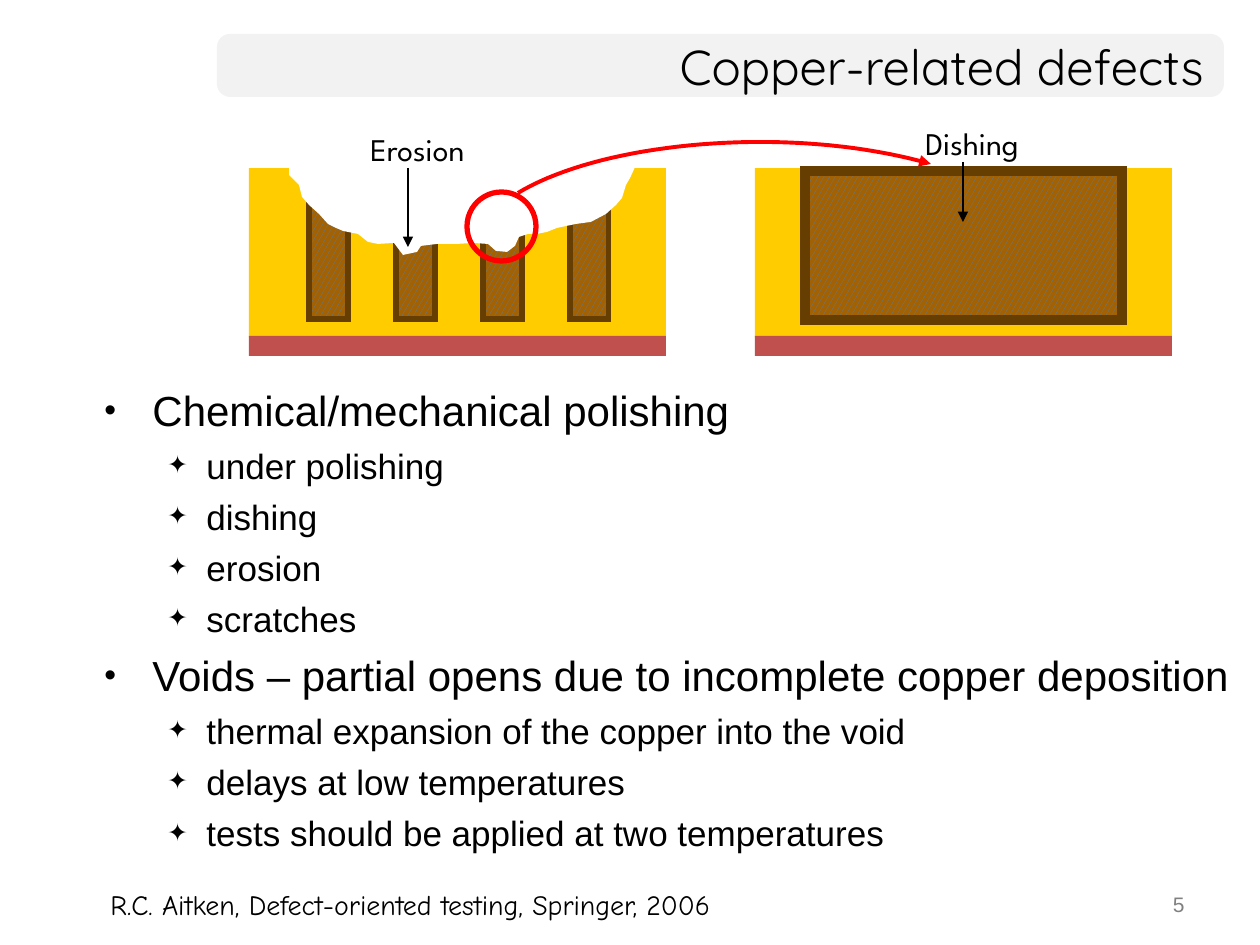
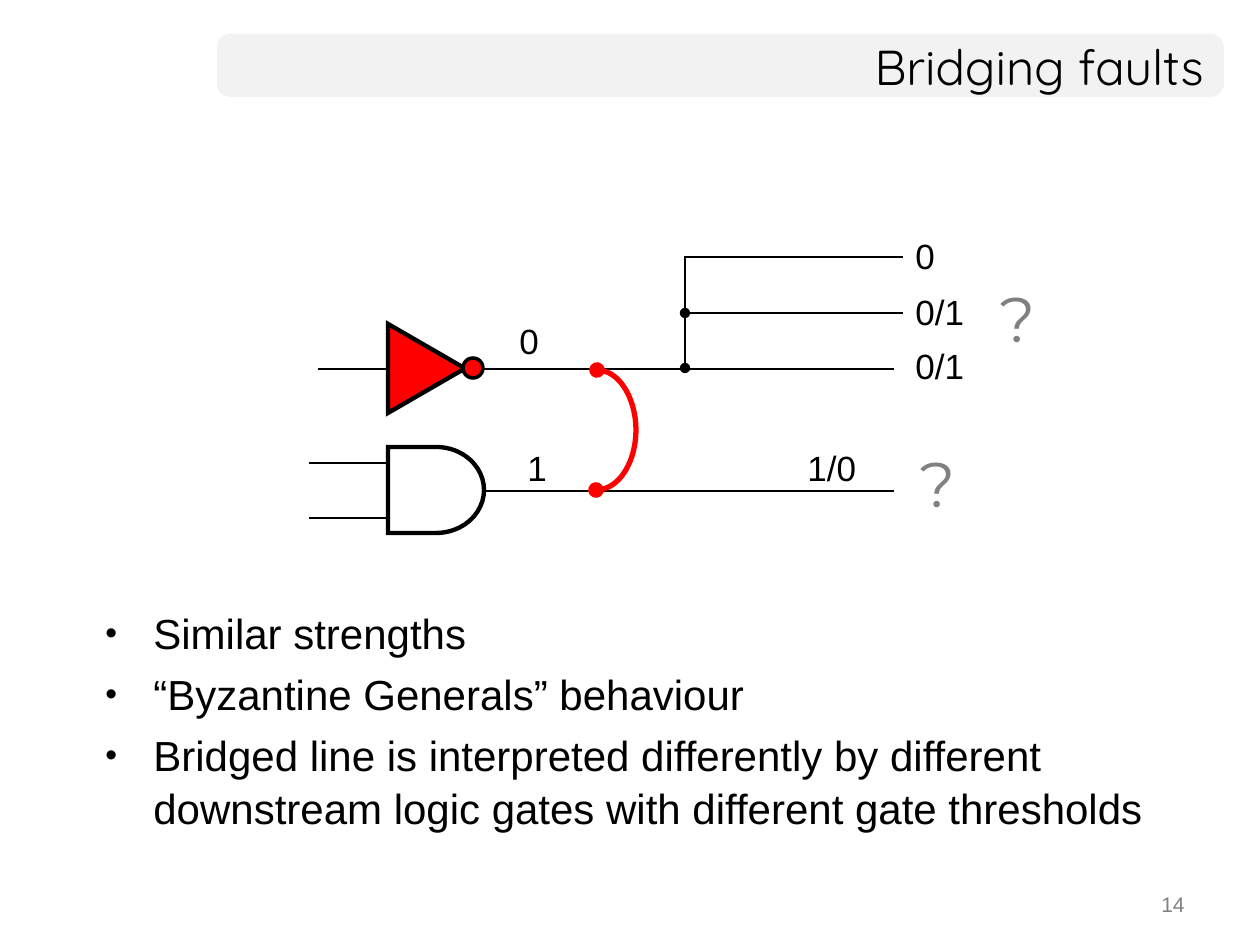
import lxml.etree
import pptx
import pptx.dml.color
import pptx.enum.dml
import pptx.enum.shapes
import pptx.enum.text
import pptx.oxml.ns
import pptx.util

PX = 914400 / 126  # EMU in one px
RGB = pptx.dml.color.RGBColor
SHAPE = pptx.enum.shapes.MSO_SHAPE
ALIGN = pptx.enum.text.PP_ALIGN
ANCHOR = pptx.enum.text.MSO_ANCHOR

BLACK = RGB(0x00, 0x00, 0x00)
WHITE = RGB(0xFF, 0xFF, 0xFF)
GREY = RGB(0x80, 0x80, 0x80)
BAND = RGB(0xF2, 0xF2, 0xF2)
RED = RGB(0xFF, 0x00, 0x00)
OXIDE = RGB(0xFF, 0xCC, 0x00)
SUBSTRATE = RGB(0xC0, 0x50, 0x4D)
COPPER = RGB(0xA2, 0x61, 0x02)
LINER = RGB(0x67, 0x3E, 0x01)
SPECKLE = RGB(0x4F, 0x81, 0xBD)

# Per list level: bullet, bullet size %, left indent, hanging, text size, space before
LEVELS = [("•", 80, 48, 48, 24, 4.5), ("✦", 70, 102, 39, 20, 4)]

EROSION_OUTLINE = [
    (636, 165), (630, 178), (626, 185), (622, 198), (616, 205), (606, 214),
    (591, 222), (576, 224), (557, 228), (547, 232), (537, 234), (528, 234),
    (519, 237), (515, 246), (507, 252), (496, 251), (488, 244), (473, 243),
    (457, 244), (437, 244), (421, 246), (417, 252), (403, 255), (394, 243),
    (378, 244), (368, 242), (358, 234), (343, 231), (336, 228), (328, 224),
    (319, 214), (309, 205), (302, 197), (299, 185), (289, 175), (289, 165)]


def emu(px):
    return pptx.util.Emu(round(px * PX))


def sub(parent, tag, **attributes):
    name = pptx.oxml.ns.qn("a:" + tag)
    return lxml.etree.SubElement(parent, name, **attributes)


# Shapes and lines
def stroke(s, color, weight, head=None, tail=None):
    s.line.color.rgb = color
    s.line.width = pptx.util.Pt(weight)
    ln = s.line._get_or_add_ln()
    sub(ln, "miter", lim="800000")
    if head:
        sub(ln, "headEnd", type=head)
    if tail:
        sub(ln, "tailEnd", type=tail)


def paint(s, fill=None, line=None, weight=1, head=None, tail=None):
    s.shadow.inherit = False
    if fill is None:
        s.fill.background()
    else:
        s.fill.solid()
        s.fill.fore_color.rgb = fill
    if line is None:
        s.line.fill.background()
    else:
        stroke(s, line, weight, head, tail)


def add_box(slide, kind, x, y, w, h, **look):
    s = slide.shapes.add_shape(kind, emu(x), emu(y), emu(w), emu(h))
    paint(s, **look)
    return s


def add_line(slide, x1, y1, x2, y2, weight=1.5, head=None, tail=None):
    s = slide.shapes.add_connector(
        pptx.enum.shapes.MSO_CONNECTOR.STRAIGHT,
        emu(x1), emu(y1), emu(x2), emu(y2))
    stroke(s, BLACK, weight, head, tail)
    sub(s._element.spPr, "effectLst")


def add_outline(slide, points, close=False, **look):
    points = [(emu(x), emu(y)) for x, y in points]
    builder = slide.shapes.build_freeform(*points[0])
    builder.add_line_segments(points[1:], close=close)
    paint(builder.convert_to_shape(), **look)


def curve(p0, p1, p2, p3, steps=24):
    """Points along a cubic Bezier curve."""
    points = []
    for i in range(steps + 1):
        t = i / steps
        u = 1 - t
        points.append(tuple(
            u**3 * a + 3 * u * u * t * b + 3 * u * t * t * c + t**3 * d
            for a, b, c, d in zip(p0, p1, p2, p3)))
    return points


# Text
def set_font(p, name, size, color):
    p.font.name = name
    p.font.size = pptx.util.Pt(size)
    p.font.color.rgb = color


def add_text(slide, text, x, y, w, h, font="Arial", size=20, color=BLACK,
             align=ALIGN.LEFT, anchor=ANCHOR.TOP, wrap=False):
    s = slide.shapes.add_textbox(emu(x), emu(y), emu(w), emu(h))
    tf = s.text_frame
    tf.word_wrap = wrap
    tf.vertical_anchor = anchor
    p = tf.paragraphs[0]
    p.text = text
    p.alignment = align
    set_font(p, font, size, color)


def add_bullets(slide, items, x, y, w, h):
    s = slide.shapes.add_textbox(emu(x), emu(y), emu(w), emu(h))
    tf = s.text_frame
    tf.word_wrap = True
    for i, (level, text) in enumerate(items):
        bullet, percent, left, hanging, size, before = LEVELS[level]
        p = tf.add_paragraph() if i else tf.paragraphs[0]
        p.text = text
        p.level = level
        p.line_spacing = 1.05
        p.space_before = pptx.util.Pt(before if i else 0)
        pPr = p._p.get_or_add_pPr()
        pPr.set("marL", str(emu(left)))
        pPr.set("indent", str(-emu(hanging)))
        sub(pPr, "buSzPct", val=str(percent * 1000))
        sub(pPr, "buFont", typeface="Arial")
        sub(pPr, "buChar", char=bullet)
        set_font(p, "Arial", size, BLACK)


# Shared frame: title band, title and page number
def add_slide(prs, title, number):
    slide = prs.slides.add_slide(prs.slide_layouts[6])
    band = add_box(slide, SHAPE.ROUNDED_RECTANGLE, 217, 34, 1007, 63, fill=BAND)
    band.adjustments[0] = 0.21
    add_text(slide, title, 217, 34, 999, 63, "Quicksand", 28,
             align=ALIGN.RIGHT, anchor=ANCHOR.MIDDLE, wrap=True)
    add_text(slide, str(number), 903, 882, 294, 44, size=12, color=GREY,
             align=ALIGN.RIGHT, anchor=ANCHOR.MIDDLE, wrap=True)
    return slide


# Wafer cross-section parts
def add_wafer(slide, x):
    add_box(slide, SHAPE.RECTANGLE, x, 168, 417, 169, fill=OXIDE)
    add_box(slide, SHAPE.RECTANGLE, x, 336, 417, 20, fill=SUBSTRATE)


def add_copper(slide, x, y, w, h, weight):
    s = add_box(slide, SHAPE.RECTANGLE, x, y, w, h, line=LINER, weight=weight)
    s.fill.patterned()
    s.fill.pattern = pptx.enum.dml.MSO_PATTERN.LARGE_CONFETTI
    s.fill.fore_color.rgb = SPECKLE
    s.fill.back_color.rgb = COPPER


def build_copper_defects(prs):
    slide = add_slide(prs, "Copper-related defects", 5)
    add_bullets(slide, [
        (0, "Chemical/mechanical polishing"),
        (1, "under polishing"),
        (1, "dishing"),
        (1, "erosion"),
        (1, "scratches"),
        (0, "Voids – partial opens due to incomplete copper deposition"),
        (1, "thermal expansion of the copper into the void"),
        (1, "delays at low temperatures"),
        (1, "tests should be applied at two temperatures"),
    ], 92, 376, 1168, 525)

    # Erosion
    add_wafer(slide, 249)
    for i in range(4):
        add_copper(slide, 309 + 87 * i, 170, 39, 149, 3)
    add_outline(slide, EROSION_OUTLINE, close=True, fill=WHITE)
    add_text(slide, "Erosion", 358, 124, 133, 50, "League Spartan", 18)
    add_line(slide, 408, 168, 408, 247, 0.75, tail="triangle")

    # Dishing
    add_wafer(slide, 755)
    add_copper(slide, 805, 171, 317, 149, 6)
    add_text(slide, "Dishing", 913, 118, 131, 50, "League Spartan", 18)
    add_line(slide, 963, 162, 963, 222, 0.75, tail="triangle")

    # Zoom from one trench to the dished copper
    add_box(slide, SHAPE.OVAL, 467, 192, 69, 69, line=RED, weight=3)
    zoom = curve((518, 193), (571, 161), (663, 142), (761, 142))
    zoom += curve((761, 142), (823, 142), (882, 150), (931, 164))[1:]
    add_outline(slide, zoom, line=RED, weight=2.25, tail="triangle")

    add_text(slide, "R.C. Aitken, Defect-oriented testing, Springer, 2006",
             98, 881, 723, 47, "Comic Neue", 16)


def build_bridging_faults(prs):
    slide = add_slide(prs, "Bridging faults", 14)
    add_bullets(slide, [
        (0, "Similar strengths"),
        (0, "“Byzantine Generals” behaviour"),
        (0, "Bridged line is interpreted differently by different "
            "downstream logic gates with different gate thresholds"),
    ], 93, 599, 1134, 260)

    # Wires
    for x1, y, x2 in [(457, 491, 894), (318, 369, 894),
                      (309, 463, 417), (309, 518, 417)]:
        add_line(slide, x1, y, x2, y)

    # Inverter and AND gate
    inverter = add_box(slide, SHAPE.ISOSCELES_TRIANGLE, 382, 330, 89, 77,
                       fill=RED, line=BLACK, weight=2.5)
    inverter.rotation = 90
    add_box(slide, SHAPE.OVAL, 463, 358, 20, 20, fill=RED, line=BLACK, weight=2)
    add_box(slide, SHAPE.FLOWCHART_DELAY, 388, 447, 96, 86,
            fill=WHITE, line=BLACK, weight=2.5)

    # Fan-out branches
    add_outline(slide, [(685, 368), (685, 257), (903, 257)],
                line=BLACK, weight=1.5, head="oval")
    add_line(slide, 685, 313, 903, 313, head="oval")

    # Bridge between the two gate outputs
    bridge = curve((597, 370), (619, 370), (636, 398), (636, 430))
    bridge += curve((636, 430), (636, 462), (619, 490), (596, 490))[1:]
    add_outline(slide, bridge, line=RED, weight=3, head="oval", tail="oval")

    # Logic values
    for value, x, y, w in [("0", 507, 313, 45), ("1", 515, 440, 45),
                           ("0", 903, 228, 45), ("0/1", 903, 284, 74),
                           ("0/1", 903, 338, 74), ("1/0", 795, 440, 74)]:
        add_text(slide, value, x, y, w, 54)
    for x, y in [(983, 273), (903, 438)]:
        add_text(slide, "?", x, y, 69, 89, "Montserrat", 36, GREY, ALIGN.CENTER)


def main():
    prs = pptx.Presentation()
    prs.slide_width = emu(1260)
    prs.slide_height = emu(945)
    build_copper_defects(prs)
    build_bridging_faults(prs)
    prs.save("out.pptx")


if __name__ == "__main__":
    main()
